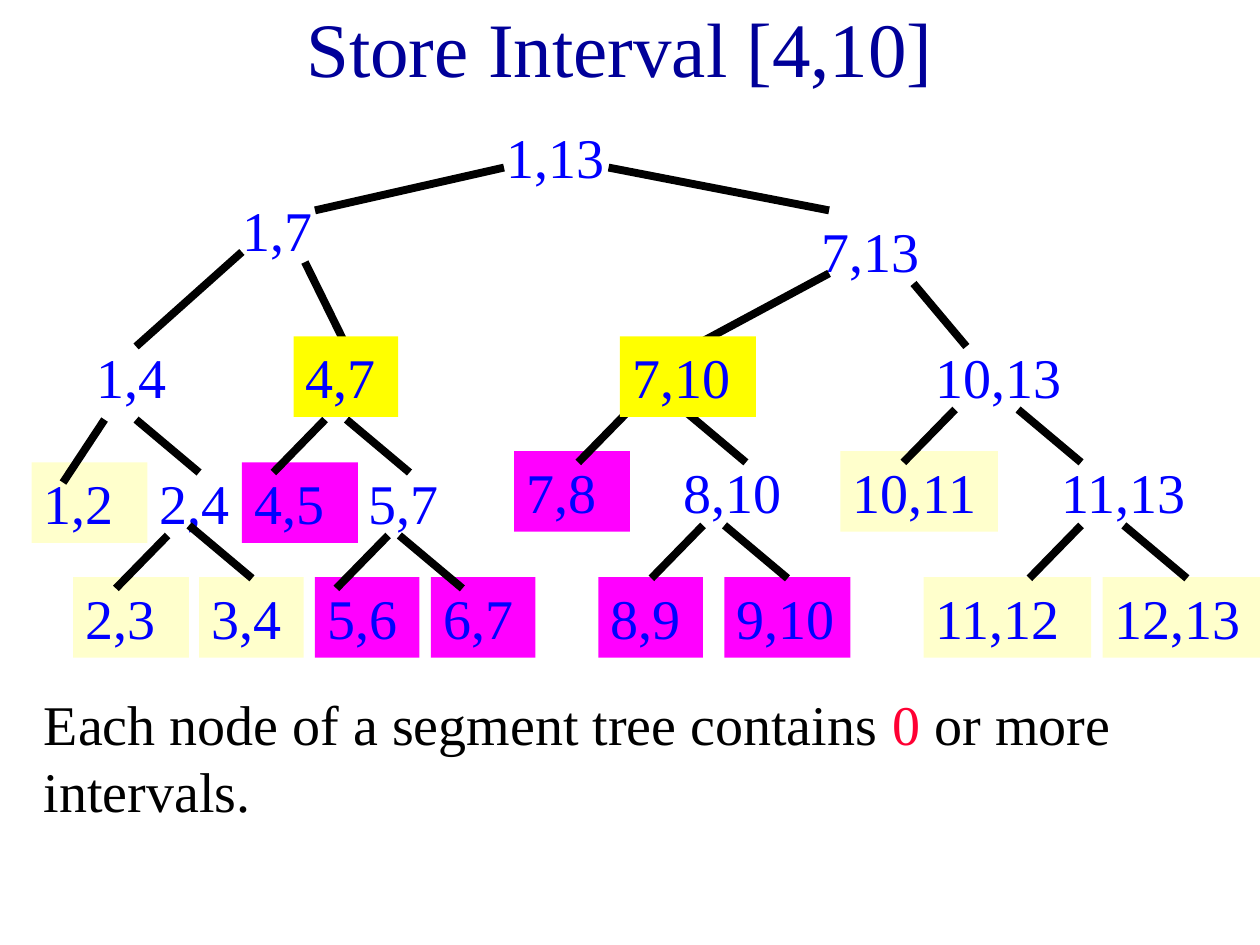
from dataclasses import dataclass

from lxml import etree
from pptx import Presentation
from pptx.dml.color import RGBColor
from pptx.enum.shapes import MSO_CONNECTOR
from pptx.enum.text import MSO_ANCHOR, MSO_AUTO_SIZE, PP_ALIGN
from pptx.oxml.ns import qn
from pptx.util import Inches, Pt

STRAIGHT = MSO_CONNECTOR.STRAIGHT
MIDDLE = MSO_ANCHOR.MIDDLE
TOP = MSO_ANCHOR.TOP
FIT_SHAPE = MSO_AUTO_SIZE.SHAPE_TO_FIT_TEXT
NO_FIT = MSO_AUTO_SIZE.NONE
CENTER = PP_ALIGN.CENTER
LEFT = PP_ALIGN.LEFT

FONT = "Times New Roman"
NAVY = RGBColor(0x00, 0x00, 0x99)
BLUE = RGBColor(0x00, 0x00, 0xFF)
BLACK = RGBColor(0x00, 0x00, 0x00)
WHITE = RGBColor(0xFF, 0xFF, 0xFF)
RED = RGBColor(0xFF, 0x00, 0x33)
CREAM = RGBColor(0xFF, 0xFF, 0xCC)
MAGENTA = RGBColor(0xFF, 0x00, 0xFF)
YELLOW = RGBColor(0xFF, 0xFF, 0x00)

NODE_HEIGHT = 0.64
LEFT_BRANCH = (-0.41, 0.42)
RIGHT_BRANCH = (0.5, 0.42)


@dataclass(frozen=True)
class Node:
    interval: str
    left: float
    top: float
    width: float
    fill: RGBColor | None = None


@dataclass(frozen=True)
class Edge:
    x1: float
    y1: float
    x2: float
    y2: float


NODES = [
    Node("1,13", 3.92, 0.92, 1),
    Node("1,7", 1.83, 1.5, 1),
    Node("7,13", 6.42, 1.67, 1.25),
    Node("1,4", 0.67, 2.67, 0.92),
    Node("10,13", 7.33, 2.67, 1.33),
    Node("1,2", 0.25, 3.67, 0.92, CREAM),
    Node("2,4", 1.17, 3.67, 0.92),
    Node("4,5", 1.92, 3.67, 0.92, MAGENTA),
    Node("5,7", 2.83, 3.67, 1),
    Node("7,8", 4.08, 3.58, 0.92, MAGENTA),
    Node("8,10", 5.33, 3.58, 1.33),
    Node("10,11", 6.67, 3.58, 1.25, CREAM),
    Node("11,13", 8.33, 3.58, 1.33),
    Node("2,3", 0.58, 4.58, 0.92, CREAM),
    Node("3,4", 1.58, 4.58, 0.83, CREAM),
    Node("5,6", 2.5, 4.58, 0.83, MAGENTA),
    Node("6,7", 3.42, 4.58, 0.83, MAGENTA),
    Node("8,9", 4.75, 4.58, 0.83, MAGENTA),
    Node("9,10", 5.75, 4.58, 1, MAGENTA),
    Node("11,12", 7.33, 4.58, 1.33, CREAM),
    Node("12,13", 8.75, 4.58, 1.25, CREAM),
]

# These cover the ends of the edges, so they are drawn last.
STORING_NODES = [
    Node("4,7", 2.33, 2.67, 0.83, YELLOW),
    Node("7,10", 4.92, 2.67, 1.08, YELLOW),
]

UPPER_EDGES = [
    Edge(4, 1.33, 2.5, 1.67),
    Edge(4.83, 1.33, 6.58, 1.67),
    Edge(1.92, 2, 1.08, 2.75),
    Edge(2.42, 2.08, 2.75, 2.75),
    Edge(6.58, 2.17, 5.5, 2.75),
    Edge(7.25, 2.25, 7.67, 2.75),
    Edge(0.83, 3.33, 0.5, 3.83),
]

LEFT_STARTS = [(2.58, 3.33), (5, 3.25), (7.58, 3.25),
               (1.33, 4.25), (3.08, 4.25), (5.58, 4.17), (8.58, 4.17)]
RIGHT_STARTS = [(1.08, 3.33), (2.75, 3.33), (5.42, 3.25), (8.08, 3.25),
                (1.5, 4.17), (3.17, 4.25), (5.75, 4.17), (8.92, 4.17)]


def branch_edges(starts: list[tuple[float, float]],
                 step: tuple[float, float]) -> list[Edge]:
    """Return equal edges that run by step from each start point."""
    return [Edge(x, y, x + step[0], y + step[1]) for x, y in starts]


def style_run(run, size: float, color: RGBColor) -> None:
    run.font.name = FONT
    run.font.size = Pt(size)
    run.font.color.rgb = color


def add_box(slide, left: float, top: float, width: float, height: float,
            runs: list[tuple[str, RGBColor]], fill: RGBColor | None) -> None:
    """Add a wrapped text box of 32 point runs."""
    shape = slide.shapes.add_textbox(
        Inches(left), Inches(top), Inches(width), Inches(height))
    if fill is not None:
        shape.fill.solid()
        shape.fill.fore_color.rgb = fill
    frame = shape.text_frame
    frame.word_wrap = True
    frame.auto_size = FIT_SHAPE
    frame.vertical_anchor = TOP
    paragraph = frame.paragraphs[0]
    paragraph.alignment = LEFT
    for text, color in runs:
        run = paragraph.add_run()
        run.text = text
        style_run(run, 32, color)


def add_node(slide, node: Node) -> None:
    add_box(slide, node.left, node.top, node.width, NODE_HEIGHT,
            [(node.interval, BLUE)], node.fill)


def add_edge(slide, edge: Edge) -> None:
    connector = slide.shapes.add_connector(
        STRAIGHT, Inches(edge.x1), Inches(edge.y1),
        Inches(edge.x2), Inches(edge.y2))
    connector.line.color.rgb = BLACK
    connector.line.width = Pt(4.5)
    properties = connector._element.find(qn("p:spPr"))
    etree.SubElement(properties, qn("a:effectLst"))


def add_title(slide, text: str) -> None:
    title = slide.shapes.title
    title.left, title.top = Inches(0.67), Inches(0.08)
    title.width, title.height = Inches(8.5), Inches(0.58)
    frame = title.text_frame
    frame.text = text
    frame.auto_size = NO_FIT
    frame.vertical_anchor = MIDDLE
    frame.paragraphs[0].alignment = CENTER
    style_run(frame.paragraphs[0].runs[0], 44, NAVY)


def main() -> None:
    presentation = Presentation()
    presentation.slide_width = Inches(10)
    presentation.slide_height = Inches(7.5)
    slide = presentation.slides.add_slide(presentation.slide_layouts[5])

    add_title(slide, "Store Interval [4,10]")
    add_box(slide, 0.25, 5.42, 9.75, 1.17,
            [("Each node of a segment tree contains ", BLACK),
             ("0", RED),
             (" or more intervals.", BLACK)], WHITE)

    for node in NODES:
        add_node(slide, node)
    for edge in (UPPER_EDGES + branch_edges(LEFT_STARTS, LEFT_BRANCH)
                 + branch_edges(RIGHT_STARTS, RIGHT_BRANCH)):
        add_edge(slide, edge)
    for node in STORING_NODES:
        add_node(slide, node)

    presentation.save("out.pptx")


if __name__ == "__main__":
    main()
